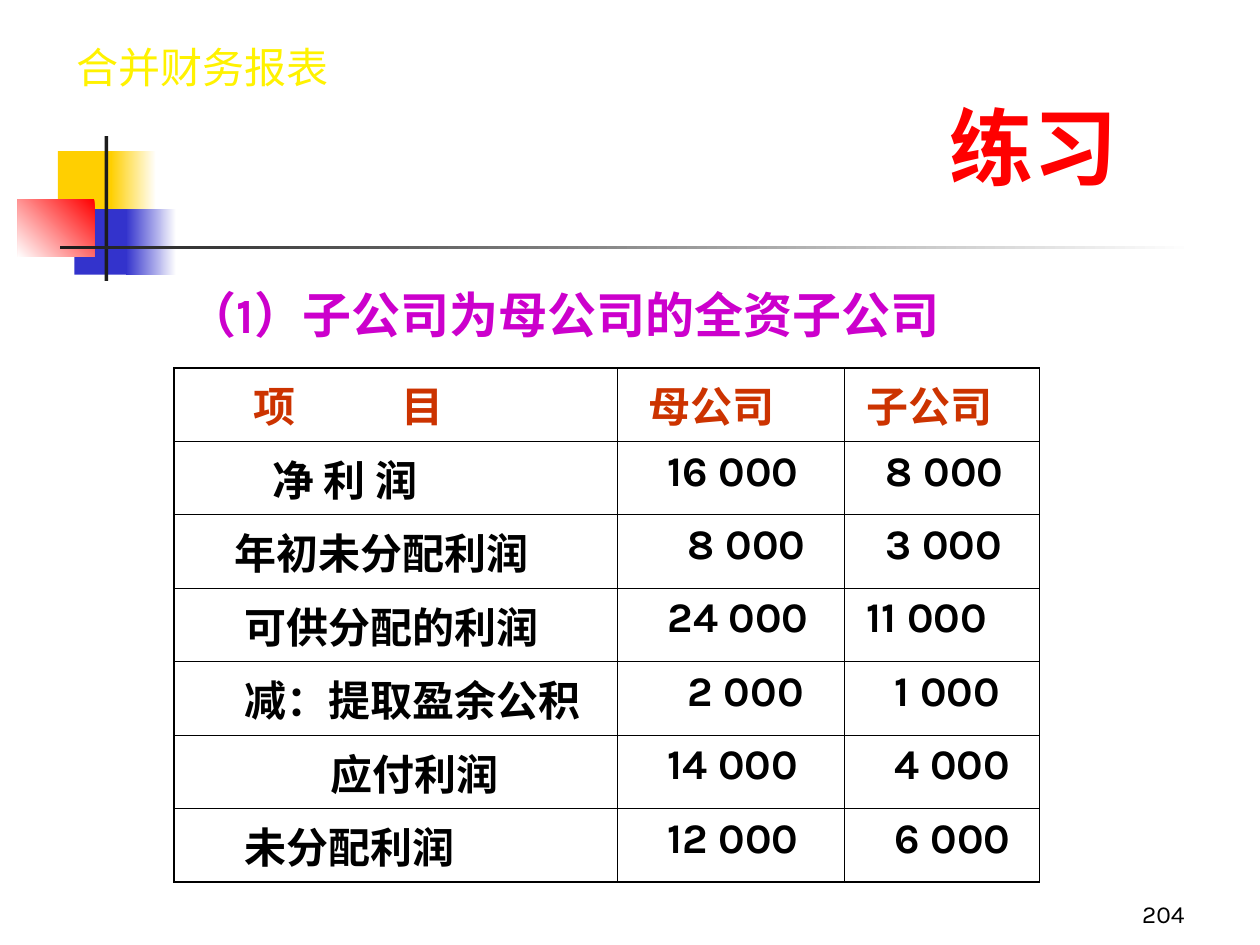
"""Build the consolidated statements exercise slide with its profit table."""
from lxml.etree import SubElement
from pptx import Presentation
from pptx.dml.color import RGBColor
from pptx.enum.shapes import MSO_SHAPE as Shape
from pptx.enum.text import MSO_ANCHOR as Anchor, PP_ALIGN as Align
from pptx.oxml.ns import qn
from pptx.util import Inches, Pt

deck = Presentation()
deck.slide_width, deck.slide_height = Inches(10), Inches(7.5)
page = deck.slides.add_slide(deck.slide_layouts[6])
column, row = deck.slide_width / 100, deck.slide_height / 75
color = RGBColor.from_string


def grid(left, top, width, height):
    """Turn grid columns and rows into slide lengths."""
    return [int(left * column), int(top * row), int(width * column), int(height * row)]


def write(para, text, size, tint, bold=False, face="Karla"):
    """Add one formatted run to a paragraph."""
    span = para.add_run()
    span.text = text
    for name, value in {"size": Pt(size), "bold": bold, "name": face}.items():
        setattr(span.font, name, value)
    span.font.color.rgb = color(tint)
    SubElement(span.font._element, qn("a:ea"), typeface="Noto Sans CJK SC")


ornaments = [
    ((4.6, 12, 4.8, 5.2), ["FFCF01"], 0),
    ((8.8, 12, 3.6, 5.2), ["FFFFFF", "FFCF01"], 180),
    ((5.9, 16.6, 4.6, 5.2), ["3333CC"], 0),
    ((10, 16.6, 4, 5.2), ["FFFFFF", "3333CC"], 180),
    ((1.4, 15.8, 6.1, 4.6), ["FF0000", "FFFFFF"], 225),
    ((8.3, 10.8, 0.3, 11.5), ["1C1C1C"], 0),
    ((4.8, 19.5, 90, 0.3), ["FFFFFF", "1C1C1C"], 180),
]
for place, tints, angle in ornaments:
    ornament = page.shapes.add_shape(Shape.RECTANGLE, *grid(*place))
    ornament.shadow.inherit = False
    ornament.line.fill.background()
    if len(tints) == 1:
        ornament.fill.solid()
        ornament.fill.fore_color.rgb = color(tints[0])
    else:
        ornament.fill.gradient()
        ornament.fill.gradient_angle = angle
        for stop, tint in zip(ornament.fill.gradient_stops, tints):
            stop.color.rgb = color(tint)

left, right = Align.LEFT, Align.RIGHT
labels = [
    ((5.1, 2.8, 22.3, 4.2), "合并财务报表", (24, "FFF200", False, "Noto Sans CJK SC"),
     left, {"word_wrap": False}),
    ((12.9, 22.1, 85, 45), "（1）子公司为母公司的全资子公司", (28, "CC00CC", True),
     left, {"word_wrap": True, "margin_left": Inches(0.2)}),
    ((74.4, 3.6, 20.5, 12.5), "练习", (48, "FF0000", True),
     left, {"word_wrap": True, "vertical_anchor": Anchor.BOTTOM}),
    ((74.2, 69.2, 20.8, 5), "204", (14, "000000"),
     right, {"word_wrap": True, "vertical_anchor": Anchor.BOTTOM}),
]
for place, text, style, align, layout in labels:
    box = page.shapes.add_textbox(*grid(*place))
    for name, value in layout.items():
        setattr(box.text_frame, name, value)
    para = box.text_frame.paragraphs[0]
    para.alignment = align
    write(para, text, *style)

entries = [
    [("项\t目", 0.63), ("母公司", 0.25), ("子公司", 0.18)],
    [("净 利 润", 0.78), ("16 000", 0.4), ("8 000", 0.33)],
    [("年初未分配利润", 0.48), ("8 000", 0.56), ("3 000", 0.33)],
    [("可供分配的利润", 0.56), ("24 000", 0.4), ("11 000", 0.18)],
    [("减：提取盈余公积", 0.56), ("2 000", 0.56), ("1 000", 0.4)],
    [("应付利润", 1.24), ("14 000", 0.4), ("4 000", 0.4)],
    [("未分配利润", 0.56), ("12 000", 0.4), ("6 000", 0.4)],
]
last_row, last_column = len(entries) - 1, len(entries[0]) - 1
table = page.shapes.add_table(
    len(entries), len(entries[0]), *grid(13.8, 29.2, 68.7, 40.8)).table
table.first_row = table.horz_banding = False
for table_column, width in zip(table.columns, (35.2, 18, 15.5)):
    table_column.width = int(width * column)

for r, entry_row in enumerate(entries):
    for c, (text, inset) in enumerate(entry_row):
        cell = table.cell(r, c)
        cell.margin_left = Inches(inset)
        para = cell.text_frame.paragraphs[0]
        if "\t" in text:
            tabs = SubElement(para._p.get_or_add_pPr(), qn("a:tabLst"))
            SubElement(tabs, qn("a:tab"), pos=str(Inches(1.18)), algn="l")
        write(para, text, 24, "000000" if r else "CC3300", True)
        edges = {"L": c == 0, "R": c == last_column, "T": r == 0, "B": r == last_row}
        for side, outer in edges.items():
            border = SubElement(cell._tc.get_or_add_tcPr(), qn(f"a:ln{side}"),
                                w=str(Pt(1.08 if outer else 0.45)))
            SubElement(SubElement(border, qn("a:solidFill")), qn("a:srgbClr"), val="000000")
        cell.fill.background()

deck.save("out.pptx")
